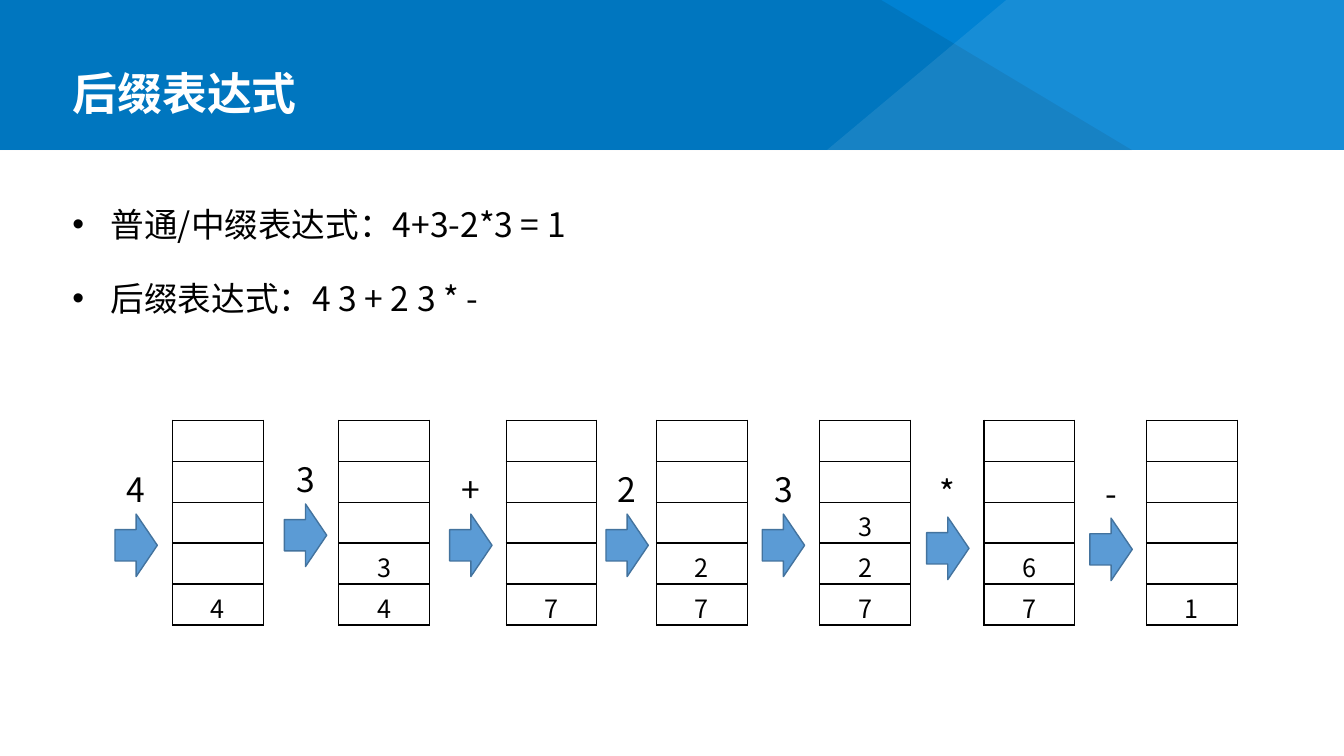
from pptx import Presentation
from pptx.util import Inches, Pt
from pptx.dml.color import RGBColor
from pptx.enum.shapes import MSO_SHAPE as Shape
from pptx.enum.text import MSO_ANCHOR as Anchor, PP_ALIGN as Align
from pptx.oxml.ns import qn
from lxml.etree import SubElement

FONT = "Noto Sans CJK SC"
BLACK = RGBColor(0, 0, 0)
WHITE = RGBColor(255, 255, 255)
HEADER_BLUE = RGBColor(0x00, 0x82, 0xD3)
ARROW_BLUE = RGBColor(0x5B, 0x9B, 0xD5)
ARROW_EDGE = RGBColor(0x43, 0x73, 0x9E)


def set_font(para, size, color=BLACK, bold=False):
    font = para.font
    font.name, font.size, font.bold = FONT, Pt(size), bold
    font.color.rgb = color
    props = font._element
    SubElement(props, qn("a:ea"), typeface=FONT)


def paint(shape, color):
    shape.shadow.inherit = False
    shape.fill.solid()
    shape.fill.fore_color.rgb = color
    shape.line.fill.background()


deck = Presentation()
deck.slide_width, deck.slide_height = Inches(13.33), Inches(7.5)
page = deck.slides.add_slide(deck.slide_layouts[5])

# Header band and white page area
for top, height, color in [(0, 7.5, HEADER_BLUE), (1.49, 6.01, WHITE)]:
    area = page.shapes.add_shape(
        Shape.RECTANGLE, 0, Inches(top), Inches(13.33), Inches(height))
    paint(area, color)

# Translucent header facets
facets = [
    ([(0, 0), (8.74, 0), (11.23, 1.49), (0, 1.49)], BLACK),
    ([(9.98, 0), (13.33, 0), (13.33, 1.49), (8.2, 1.49)], WHITE),
]
for corners, color in facets:
    points = [(Inches(x), Inches(y)) for x, y in corners]
    builder = page.shapes.build_freeform(*points[0])
    builder.add_line_segments(points[1:], close=True)
    facet = builder.convert_to_shape()
    paint(facet, color)
    tint = facet._element.spPr.find(qn("a:solidFill"))[0]
    SubElement(tint, qn("a:alpha"), val="9000")

# Title, brought in front of the header
title = page.shapes.title
title.element.getparent().append(title.element)
title.left, title.top = Inches(0.62), Inches(0.62)
title.width, title.height = Inches(9.69), Inches(0.62)
title.text_frame.text = "后缀表达式"
title.text_frame.vertical_anchor = Anchor.BOTTOM
para = title.text_frame.paragraphs[0]
para.alignment, para.line_spacing = Align.LEFT, 0.9
set_font(para, 32, WHITE, bold=True)

# Bulleted expressions
box = page.shapes.add_textbox(Inches(0.62), Inches(1.77), Inches(12.07), Inches(5.1))
frame = box.text_frame
frame.word_wrap = True
frame.text = "普通/中缀表达式：4+3-2*3 = 1\n后缀表达式：4 3 + 2 3 * -"
for index, para in enumerate(frame.paragraphs):
    para.line_spacing = 1.5
    para.space_before = Pt(10 if index else 0)
    props = para._p.get_or_add_pPr()
    props.set("marL", str(Inches(0.38)))
    props.set("indent", str(-Inches(0.38)))
    SubElement(props, qn("a:buFont"), typeface="Arial")
    SubElement(props, qn("a:buChar"), char="•")
    set_font(para, 24)

# Each step: token, arrow left, arrow top, stack left, stack from the bottom up
steps = [
    ("4", 1.14, 5.1, 1.71, "4"),
    ("3", 2.82, 5.0, 3.36, "43"),
    ("+", 4.46, 5.1, 5.02, "7"),
    ("2", 6.01, 5.1, 6.51, "72"),
    ("3", 7.56, 5.1, 8.13, "723"),
    ("*", 9.19, 5.13, 9.76, "76"),
    ("-", 10.81, 5.14, 11.37, "1"),
]
ROWS = 5
for token, arrow_left, arrow_top, stack_left, stack in steps:
    # Stack
    table = page.shapes.add_table(
        ROWS, 1, Inches(stack_left), Inches(4.17), Inches(0.9), Inches(2.03)).table
    table.first_row = table.horz_banding = False
    for row, value in enumerate(reversed(stack.ljust(ROWS))):
        cell = table.cell(row, 0)
        cell.text = value.strip()
        cell.vertical_anchor = Anchor.MIDDLE
        para = cell.text_frame.paragraphs[0]
        para.alignment = Align.CENTER
        set_font(para, 18)
        props = cell._tc.get_or_add_tcPr()
        for side in ("lnL", "lnR", "lnT", "lnB"):
            border = SubElement(props, qn(f"a:{side}"), w=str(Pt(1)))
            ink = SubElement(border, qn("a:solidFill"))
            SubElement(ink, qn("a:srgbClr"), val=str(BLACK))
        cell.fill.background()

    # Arrow
    arrow = page.shapes.add_shape(
        Shape.RIGHT_ARROW, Inches(arrow_left), Inches(arrow_top), Inches(0.42), Inches(0.62))
    paint(arrow, ARROW_BLUE)
    arrow.line.color.rgb = ARROW_EDGE
    arrow.line.width = Pt(1)

    # Token above the arrow
    label = page.shapes.add_textbox(
        Inches(arrow_left + 0.01), Inches(arrow_top - 0.5), Inches(0.4), Inches(0.5))
    label.text_frame.word_wrap = False
    label.text_frame.text = token
    para = label.text_frame.paragraphs[0]
    para.alignment = Align.CENTER
    set_font(para, 24)

deck.save("out.pptx")
